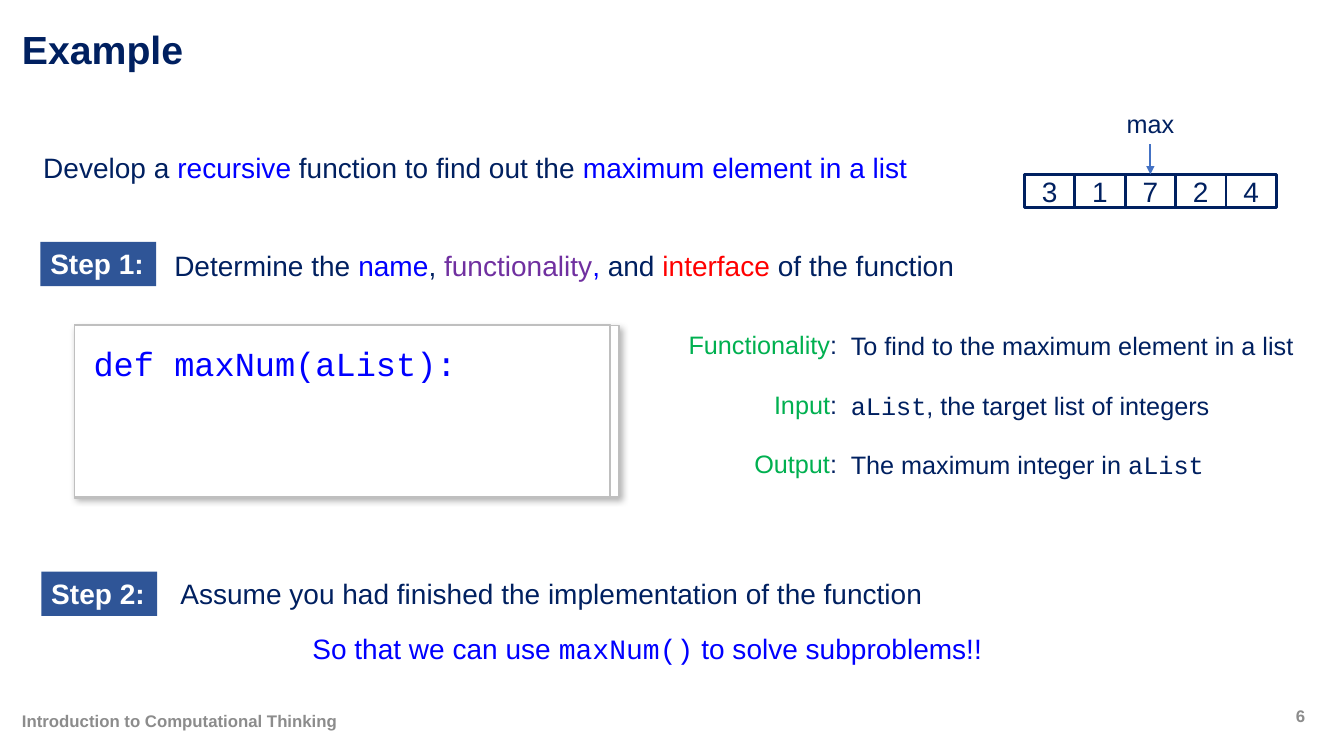
import pptx
import pptx.util
import pptx.dml.color
import pptx.enum.shapes
import pptx.enum.text
import pptx.oxml
import pptx.oxml.ns

Inches, Pt = pptx.util.Inches, pptx.util.Pt
ALIGN = pptx.enum.text.PP_ALIGN
ANCHOR = pptx.enum.text.MSO_ANCHOR
RECT = pptx.enum.shapes.MSO_SHAPE.RECTANGLE
STRAIGHT = pptx.enum.shapes.MSO_CONNECTOR.STRAIGHT
SANS, MONO = "Arial", "Courier New"
COLORS = {
    "navy": "002060", "blue": "0000FF", "purple": "7030A0", "red": "FF0000",
    "green": "00B050", "white": "FFFFFF", "grey": "8C8C8C", "border": "BFBFBF",
    "step": "2F5597", "arrow": "4472C4", "shadow": "000000",
}


def rgb(name):
    return pptx.dml.color.RGBColor.from_string(COLORS[name])


def xml(markup):
    return pptx.oxml.parse_xml(
        markup.replace("/>", " " + pptx.oxml.ns.nsdecls("a") + "/>", 1)
        if markup.endswith("/>") and markup.count("<") == 1
        else markup.replace(">", " " + pptx.oxml.ns.nsdecls("a") + ">", 1))


def write(sp, runs, size, bold=False, align=ALIGN.LEFT, anchor=ANCHOR.TOP, wrap=True):
    """Each run is (text, color) or (text, color, font)."""
    tf = sp.text_frame
    tf.word_wrap = wrap
    tf.vertical_anchor = anchor
    p = tf.paragraphs[0]
    p.alignment = align
    for text, color, *font in runs:
        r = p.add_run()
        r.text = text
        r.font.size = Pt(size)
        r.font.bold = bold
        r.font.name = font[0] if font else SANS
        r.font.color.rgb = rgb(color)
    return p


def add_text(s, x, y, w, h, runs, size, **options):
    sp = s.shapes.add_textbox(Inches(x), Inches(y), Inches(w), Inches(h))
    write(sp, runs, size, **options)
    return sp


def add_rect(s, x, y, w, h, fill=None, line=None, width=1):
    sp = s.shapes.add_shape(RECT, Inches(x), Inches(y), Inches(w), Inches(h))
    sp.shadow.inherit = False
    if fill:
        sp.fill.solid()
        sp.fill.fore_color.rgb = rgb(fill)
    else:
        sp.fill.background()
    if line:
        sp.line.color.rgb = rgb(line)
        sp.line.width = Pt(width)
    else:
        sp.line.fill.background()
    return sp


def add_frame(s, title, footer, number):
    sp = add_text(s, 0.12, 0.17, 12.7, 0.68, [(title, "navy")], 28,
                  bold=True, anchor=ANCHOR.MIDDLE)
    sp.text_frame.paragraphs[0].line_spacing = 0.9
    add_text(s, 0.12, 6.95, 8.24, 0.4, [(footer, "grey")], 12,
             bold=True, anchor=ANCHOR.MIDDLE)
    add_text(s, 12.66, 6.9, 0.48, 0.4, [(number, "grey")], 12,
             bold=True, align=ALIGN.CENTER, anchor=ANCHOR.MIDDLE)


def add_list(s, x, y, values, cell_w=0.5, cell_h=0.33):
    """Row of cells with a labelled arrow on the largest value."""
    cells = []
    for i, value in enumerate(values):
        cell = add_rect(s, x + i * cell_w, y, cell_w, cell_h, "white", "navy", 2)
        tf = cell.text_frame
        tf.margin_left = tf.margin_right = tf.margin_top = tf.margin_bottom = 0
        write(cell, [(str(value), "navy")], 20, align=ALIGN.CENTER, anchor=ANCHOR.MIDDLE)
        cells.append(cell)
    top = values.index(max(values))
    center = x + (top + 0.5) * cell_w
    label = add_text(s, center - 0.34, y - 0.7, 0.68, 0.4, [("max", "navy")], 18,
                     align=ALIGN.CENTER, wrap=False)
    arrow = s.shapes.add_connector(STRAIGHT, 0, 0, 0, 0)
    arrow.begin_connect(label, 2)
    arrow.end_connect(cells[top], 0)
    arrow.line.color.rgb = rgb("arrow")
    arrow.line.width = Pt(1.5)
    arrow.line._get_or_add_ln().append(xml('<a:tailEnd type="triangle"/>'))
    arrow._element.spPr.append(xml("<a:effectLst/>"))


def add_step(s, x, y, label, runs, gap, drop=0):
    tag = add_rect(s, x, y, 1.15, 0.44, "step")
    write(tag, [(label, "white")], 20, bold=True)
    add_text(s, x + gap, y + drop, 8.81, 0.44, runs, 20)


def add_code(s, x, y, w, h, code):
    card = add_rect(s, x, y + 0.01, w, h - 0.02, "white", "border")
    effects = card._element.spPr.find(pptx.oxml.ns.qn("a:effectLst"))
    effects.append(xml(
        '<a:outerShdw blurRad="57150" dist="33020" dir="3180000" algn="tl" rotWithShape="0">'
        f'<a:srgbClr val="{COLORS["shadow"]}"><a:alpha val="30000"/></a:srgbClr>'
        '</a:outerShdw>'))
    add_text(s, x + 0.09, y + 0.13, w - 0.6, 0.5, [(code, "blue", MONO)], 24)
    add_rect(s, x, y, w - 0.09, h, line="border")


def add_interface(s, x, y, rows, pitch=0.59):
    """Right-aligned labels ending near x, with descriptions beside them."""
    for i, (label, runs) in enumerate(rows):
        top = y + i * pitch
        add_text(s, x - 1.81, top, 1.81, 0.4, [(label, "green"), (":", "navy")], 18,
                 align=ALIGN.RIGHT)
        add_text(s, x - 0.06, top + 0.01, 4.82, 0.4, runs, 18)


def main():
    prs = pptx.Presentation()
    prs.slide_width, prs.slide_height = Inches(13.33), Inches(7.5)
    s = prs.slides.add_slide(prs.slide_layouts[6])

    add_frame(s, "Example", "Introduction to Computational Thinking", "6")

    # Task and sample list
    add_text(s, 0.33, 1.44, 8.81, 0.44, [
        ("Develop a ", "navy"), ("recursive", "blue"),
        (" function to find out the ", "navy"),
        ("maximum element in a list", "blue")], 20)
    add_list(s, 10.16, 1.73, [3, 1, 7, 2, 4])

    # Step 1: signature and interface
    add_step(s, 0.4, 2.4, "Step 1:", [
        ("Determine the ", "navy"), ("name", "blue"), (", ", "navy"),
        ("functionality", "purple"), (",", "blue"), (" and ", "navy"),
        ("interface", "red"), (" of the function", "navy")], gap=1.23, drop=0.02)
    add_code(s, 0.74, 3.22, 5.4, 1.72, "def maxNum(aList):")
    add_interface(s, 8.4, 3.22, [
        ("Functionality", [("To find to the maximum element in a list", "navy")]),
        ("Input", [("aList", "navy", MONO), (", the target list of integers", "navy")]),
        ("Output", [("The maximum integer in ", "navy"), ("aList", "navy", MONO)]),
    ])

    # Step 2: assumption and consequence
    add_step(s, 0.41, 5.67, "Step 2:", [
        ("Assume you had finished the implementation of the function", "navy")], gap=1.28)
    add_text(s, 3, 6.22, 8.81, 0.44, [
        ("So that we can use ", "blue"), ("maxNum()", "blue", MONO),
        (" to solve subproblems!!", "blue")], 20)

    prs.save("out.pptx")


if __name__ == "__main__":
    main()
